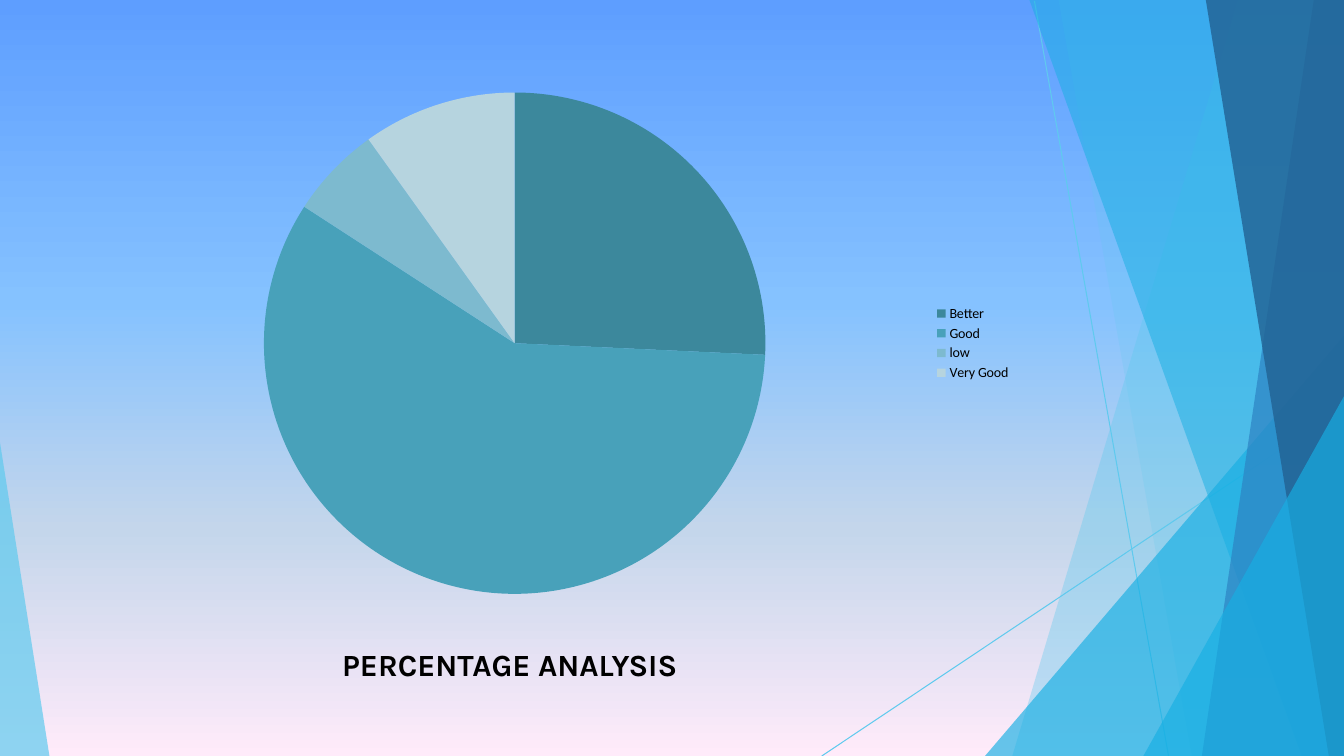
from lxml import etree
from pptx import Presentation
from pptx.chart.data import CategoryChartData
from pptx.dml.color import RGBColor
from pptx.enum.chart import XL_CHART_TYPE, XL_LEGEND_POSITION
from pptx.enum.shapes import MSO_CONNECTOR
from pptx.enum.text import MSO_ANCHOR, PP_ALIGN
from pptx.oxml.ns import qn
from pptx.util import Inches, Pt

PIE = XL_CHART_TYPE.PIE
LEGEND_RIGHT = XL_LEGEND_POSITION.RIGHT
STRAIGHT = MSO_CONNECTOR.STRAIGHT
TOP = MSO_ANCHOR.TOP
CENTER = PP_ALIGN.CENTER

BLACK = RGBColor(0x00, 0x00, 0x00)
SKY = RGBColor(0x5F, 0xCA, 0xEE)
CYAN = RGBColor(0x17, 0xAF, 0xE3)
BLUE = RGBColor(0x2D, 0x83, 0xC3)
NAVY = RGBColor(0x22, 0x61, 0x92)

W, H = 13.33, 7.5
TITLE = "PERCENTAGE ANALYSIS"
RATINGS = [
    ("Better", 26, RGBColor(0x3C, 0x88, 0x9C)),
    ("Good", 59, RGBColor(0x48, 0xA1, 0xBA)),
    ("low", 6, RGBColor(0x7D, 0xBA, 0xCF)),
    ("Very Good", 10, RGBColor(0xB6, 0xD4, 0xDF)),
]
BACKGROUND = [(0, "5E9EFF"), (40, "85C2FF"), (70, "C4D6EB"), (100, "FFEBFA")]
RAYS = [(10.26, 0.01, 11.59, H), (W, 4.04, 8.15, H)]


def band(top_x, bottom_x):
    return [(W, 0), (top_x, 0), (bottom_x, H), (W, H)]


def corner(top_y, edge_x, bottom_x):
    return [(edge_x, top_y), (bottom_x, H), (edge_x, H)]


PANELS = [
    (band(12.28, 10.04), SKY, 36),
    (band(10.5, 11.82), SKY, 20),
    (corner(3.33, W, 9.77), CYAN, 66),
    (band(10.21, 12.91), CYAN, 50),
    (band(13.03, 11.92), BLUE, 70),
    (band(11.96, 13.18), NAVY, 80),
    (corner(3.93, W, 11.34), CYAN, 66),
    (corner(4.39, 0, 0.49), SKY, 70),
]


def paint_background(slide):
    fill = slide.background.fill
    fill.gradient()
    fill.gradient_angle = 270
    stops = slide.background._cSld.find(".//" + qn("a:gsLst"))
    for stop in list(stops):
        stops.remove(stop)
    for pos, color in BACKGROUND:
        gs = etree.SubElement(stops, qn("a:gs"), pos=str(pos * 1000))
        etree.SubElement(gs, qn("a:srgbClr"), val=color)


def add_ray(slide, ends):
    line = slide.shapes.add_connector(STRAIGHT, *[Inches(v) for v in ends])
    line.line.color.rgb = SKY
    line.line.width = Pt(0.75)
    etree.SubElement(line._element.spPr, qn("a:effectLst"))


def add_panel(slide, points, color, opacity):
    start, *rest = [(Inches(x), Inches(y)) for x, y in points]
    builder = slide.shapes.build_freeform(*start)
    builder.add_line_segments(rest, close=True)
    sp = builder.convert_to_shape()
    sp.shadow.inherit = False
    sp.line.fill.background()
    sp.fill.solid()
    sp.fill.fore_color.rgb = color
    clr = sp._element.spPr.find(qn("a:solidFill"))[0]
    etree.SubElement(clr, qn("a:alpha"), val=str(opacity * 1000))


def set_title(slide):
    title = slide.shapes.title
    slide.shapes._spTree.append(title._element)
    title.left, title.top = Inches(3.23), Inches(6.41)
    title.width, title.height = Inches(3.65), Inches(0.74)
    tf = title.text_frame
    tf.text = TITLE
    tf.word_wrap = True
    tf.vertical_anchor = TOP
    tf.margin_left = tf.margin_right = tf.margin_top = tf.margin_bottom = 0
    p = tf.paragraphs[0]
    p.alignment = CENTER
    font = p.runs[0].font
    font.name, font.size, font.bold = "Karla", Pt(22), True
    font.color.rgb = BLACK


def add_pie(slide):
    names, values, colors = zip(*RATINGS)
    data = CategoryChartData()
    data.categories = names
    data.add_series("Series 1", values)
    chart = slide.shapes.add_chart(
        PIE, Inches(0.96), Inches(0.78), Inches(9.17), Inches(5.25), data
    ).chart
    chart.has_title = False
    chart.font.name, chart.font.size = "Calibri", Pt(10)
    chart.font.color.rgb = BLACK
    chart.has_legend = True
    chart.legend.position = LEGEND_RIGHT
    chart.legend.include_in_layout = False
    plot = chart.plots[0]
    plot.vary_by_categories = True
    for i, color in enumerate(colors):
        fmt = plot.series[0].points[i].format
        fmt.fill.solid()
        fmt.fill.fore_color.rgb = color
        fmt.line.fill.background()


def main():
    prs = Presentation()
    prs.slide_width, prs.slide_height = Inches(W), Inches(H)
    slide = prs.slides.add_slide(prs.slide_layouts[5])
    paint_background(slide)
    for ends in RAYS:
        add_ray(slide, ends)
    for panel in PANELS:
        add_panel(slide, *panel)
    set_title(slide)
    add_pie(slide)
    prs.save("out.pptx")


if __name__ == "__main__":
    main()
